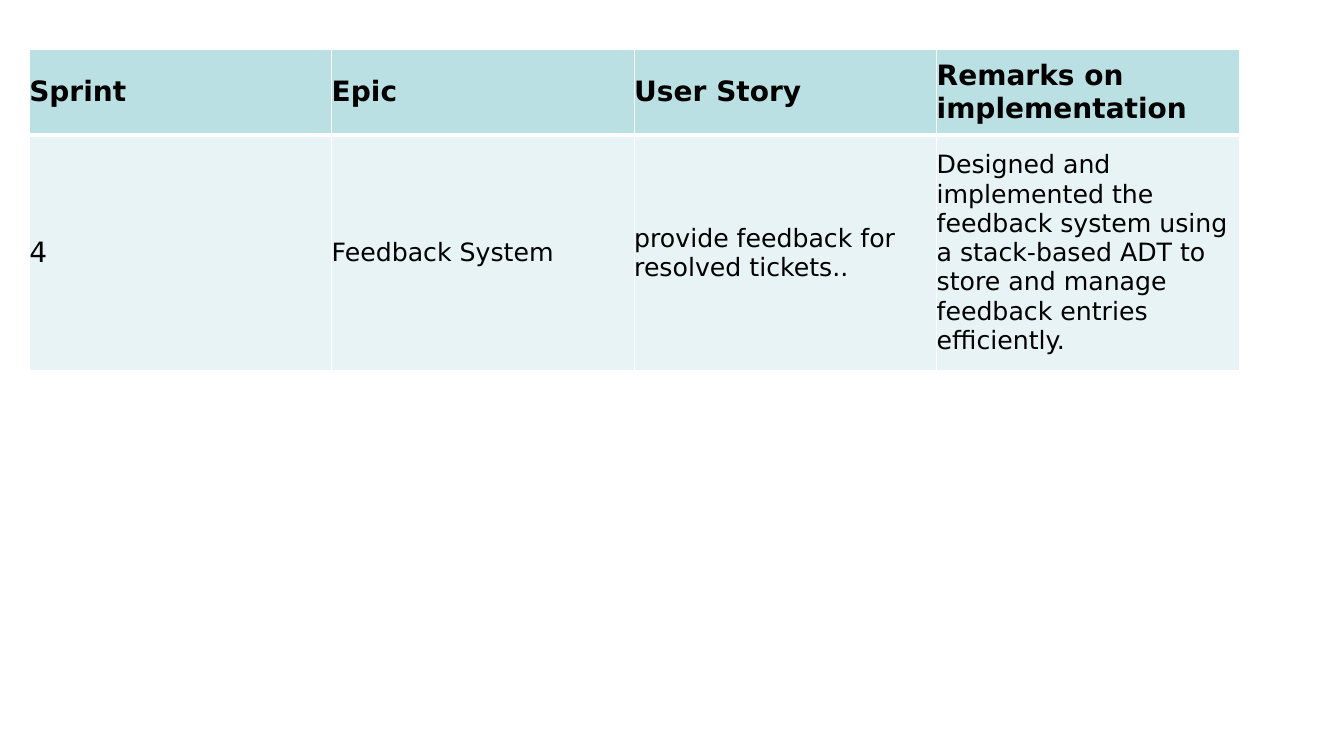
"""Build a sprint table slide with one header row and one story row."""
from dataclasses import dataclass

from lxml import etree
from pptx import Presentation
from pptx.dml.color import RGBColor
from pptx.enum import text
from pptx.oxml import ns
from pptx.util import Inches, Pt


@dataclass(frozen=True)
class Theme:
    """Hold the colours, font, type sizes and line widths."""
    font: str = "DejaVu Sans"
    ink: str = "000000"
    head: str = "BBE0E3"
    body: str = "E7F3F4"
    rule: str = "FFFFFF"
    large: int = 20
    small: int = 18
    thin: int = 1
    thick: int = 3


THEME = Theme()
HEADS = ["Sprint", "Epic", "User Story", "Remarks on implementation"]
STORY = [
    "4",
    "Feedback System",
    "provide feedback for resolved tickets..",
    "Designed and implemented the feedback system using a stack-based ADT "
    "to store and manage feedback entries efficiently.",
]


def add_rule(cell, side, width):
    """Draw one solid border on a side of a cell."""
    props = cell._tc.get_or_add_tcPr()
    line = etree.SubElement(props, ns.qn(f"a:ln{side}"), w=str(Pt(width)))
    fill = etree.SubElement(line, ns.qn("a:solidFill"))
    etree.SubElement(fill, ns.qn("a:srgbClr"), val=THEME.rule)


def fill_cell(cell, words, size, bold, back, thick):
    """Write and format a cell, with one thick side among its borders."""
    for side in "LRTB":
        add_rule(cell, side, THEME.thick if side == thick else THEME.thin)
    cell.fill.solid()
    cell.fill.fore_color.rgb = RGBColor.from_string(back)
    cell.margin_left = cell.margin_right = Inches(0)
    cell.margin_top = cell.margin_bottom = Inches(0)
    cell.vertical_anchor = text.MSO_ANCHOR.MIDDLE
    cell.text_frame.text = words
    font = cell.text_frame.paragraphs[0].runs[0].font
    font.name = THEME.font
    font.size = Pt(size)
    font.bold = bold
    font.color.rgb = RGBColor.from_string(THEME.ink)


def add_grid(slide):
    """Add the sprint table with equal columns."""
    table = slide.shapes.add_table(
        2, len(HEADS), Inches(0.29), Inches(0.49), Inches(12), Inches(3.19)
    ).table
    for row, height in zip(table.rows, (0.85, 2.34)):
        row.height = Inches(height)
    for col, (head, story) in enumerate(zip(HEADS, STORY)):
        size = THEME.small if col else THEME.large
        fill_cell(table.cell(0, col), head, THEME.large, True, THEME.head, "B")
        fill_cell(table.cell(1, col), story, size, False, THEME.body, "T")


def main():
    """Create the deck and save it."""
    deck = Presentation()
    deck.slide_width = Inches(13.33)
    deck.slide_height = Inches(7.5)
    add_grid(deck.slides.add_slide(deck.slide_layouts[6]))
    deck.save("out.pptx")


if __name__ == "__main__":
    main()
